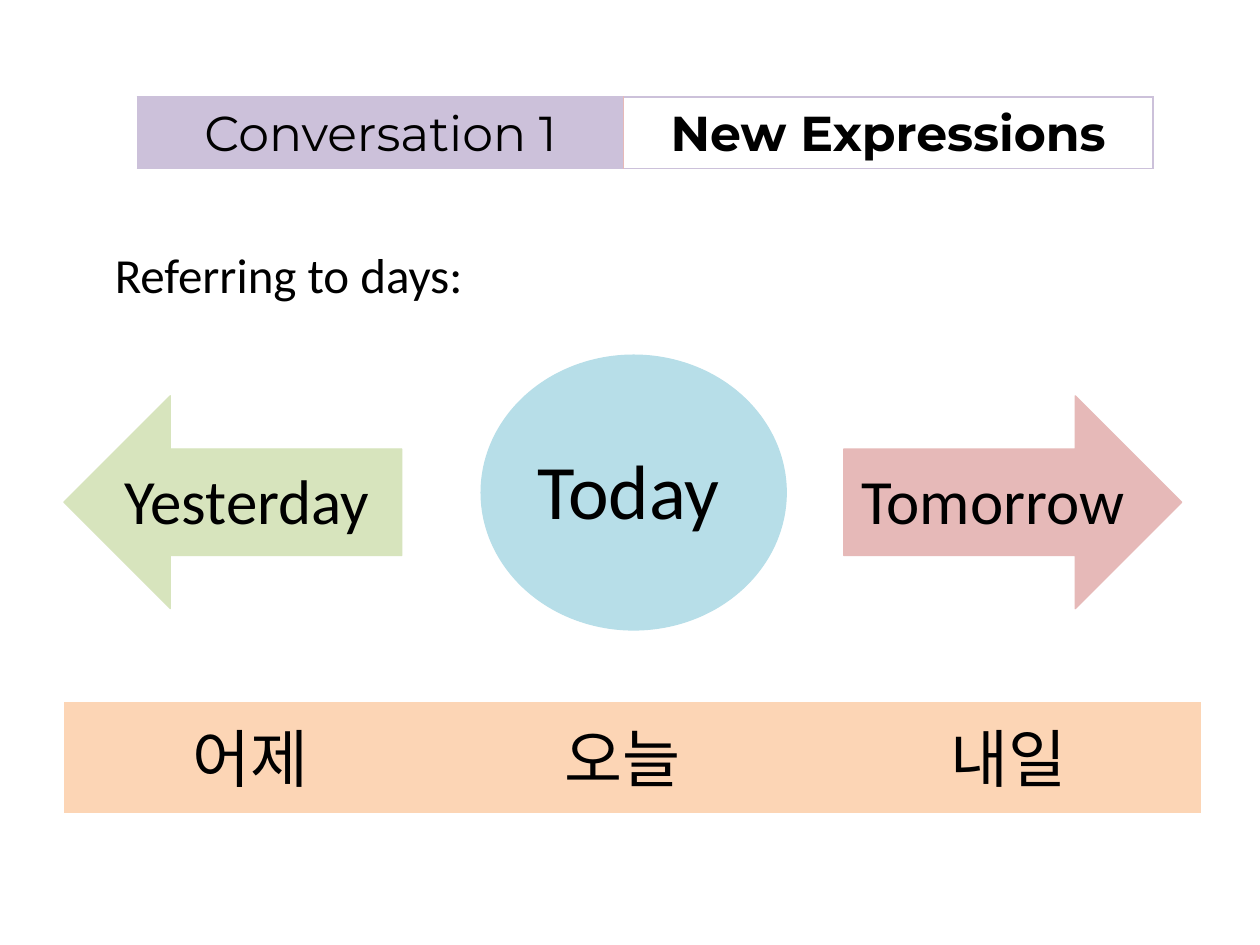
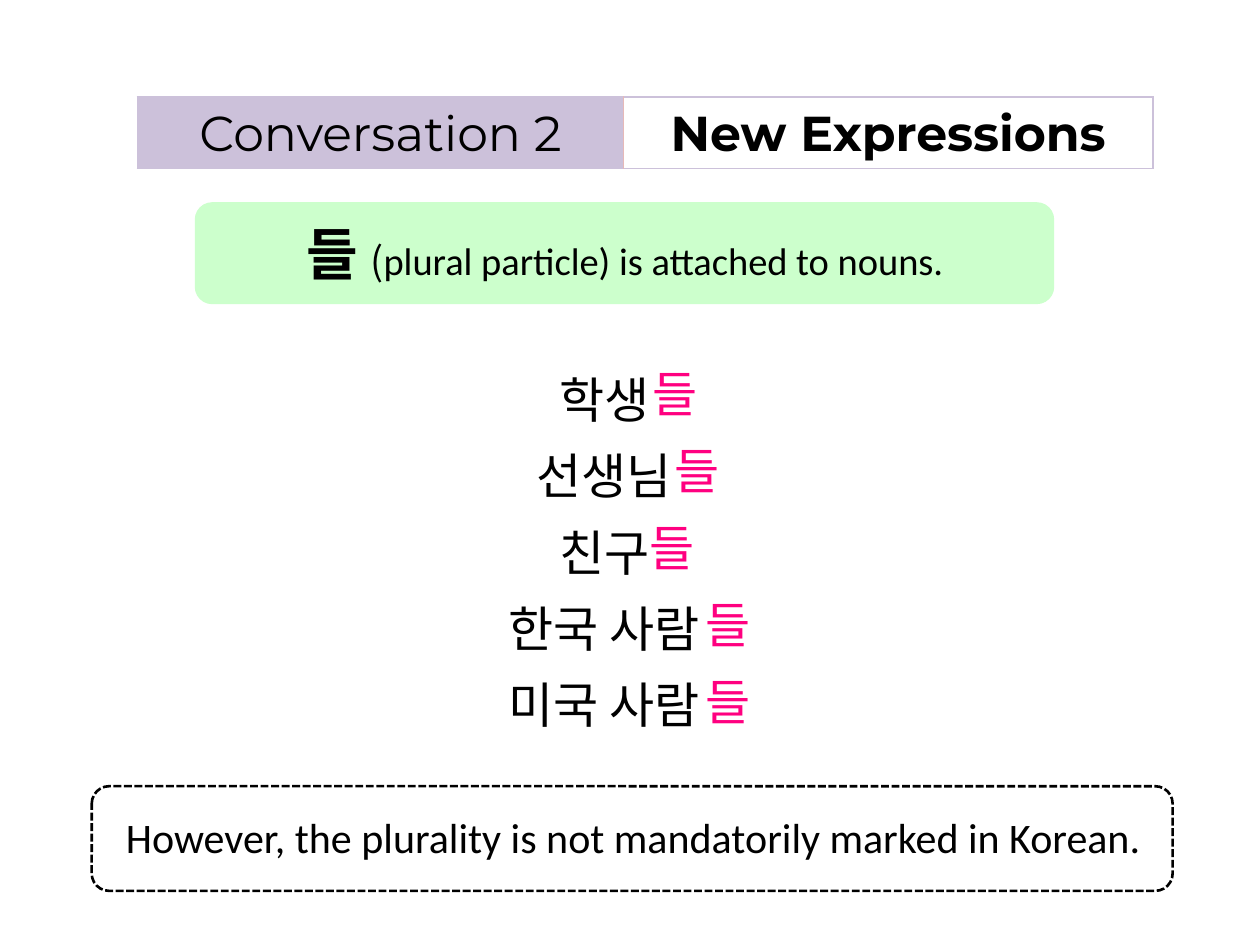
from dataclasses import dataclass, field
from typing import Any, Optional

from lxml.etree import SubElement
from pptx import Presentation
from pptx.dml.color import RGBColor
from pptx.enum.dml import MSO_LINE
from pptx.enum.shapes import MSO_SHAPE
from pptx.enum.text import MSO_ANCHOR, MSO_AUTO_SIZE, PP_ALIGN
from pptx.oxml.ns import qn
from pptx.util import Cm, Pt

# Shared look
LATIN, HEADING, KOREAN = "Calibri", "Montserrat", "Noto Sans CJK KR"
BLACK, LILAC, ROSE, PEACH = "000000", "CCC1DA", "E6B9B8", "FCD5B5"
BLUE, OLIVE, MINT, PINK = "B7DEE8", "D7E4BD", "CCFFCC", "FF0080"
PLAIN_TABLE = "{2D5ABB26-0587-4C30-8999-92F81FD0307C}"
TITLE_AND_CONTENT, TITLE_ONLY = 1, 5


@dataclass
class Box:
    """Position and size in centimetres."""
    left: float
    top: float
    width: float
    height: float

    def lengths(self) -> list:
        return [Cm(v) for v in (self.left, self.top, self.width, self.height)]


@dataclass
class Run:
    text: str
    size: float
    font: str = LATIN
    color: str = BLACK
    bold: bool = False


@dataclass
class Label:
    box: Box
    runs: list[Run]


@dataclass
class Panel:
    kind: MSO_SHAPE
    box: Box
    fill: Optional[str]
    line: str
    line_format: dict = field(default_factory=lambda: {"width": Pt(0.75)})
    rotation: float = 0


def rgb(color: str) -> RGBColor:
    return RGBColor.from_string(color)


def apply(target: Any, values: dict) -> None:
    for name, value in values.items():
        setattr(target, name, value)


def add_run(p: Any, run: Run) -> None:
    r = p.add_run()
    r.text = run.text
    apply(r.font, {"size": Pt(run.size), "name": run.font, "bold": run.bold})
    r.font.color.rgb = rgb(run.color)
    SubElement(r._r.get_or_add_rPr(), qn("a:ea")).set("typeface", run.font)


def place(sp: Any, box: Box) -> Any:
    """Move a text shape, let it grow without wrapping, and return its frame."""
    apply(sp, dict(zip(("left", "top", "width", "height"), box.lengths())))
    apply(sp.text_frame, {"word_wrap": False, "vertical_anchor": MSO_ANCHOR.TOP,
                          "auto_size": MSO_AUTO_SIZE.SHAPE_TO_FIT_TEXT})
    return sp.text_frame


def add_label(s: Any, label: Label, sp: Any = None) -> None:
    """Write a label into the given placeholder, or into a new text box."""
    sp = sp or s.shapes.add_textbox(*label.box.lengths())
    p = place(sp, label.box).paragraphs[0]
    p.alignment = PP_ALIGN.LEFT
    for run in label.runs:
        add_run(p, run)


def add_list(sp: Any, box: Box, words: list[str], size: float) -> None:
    tf = place(sp, box)
    for i, word in enumerate(words):
        p = tf.add_paragraph() if i else tf.paragraphs[0]
        apply(p, {"alignment": PP_ALIGN.CENTER, "line_spacing": 1.3, "space_before": Pt(0)})
        pPr = p._p.get_or_add_pPr()
        for name in ("marL", "indent"):
            pPr.set(name, "0")
        SubElement(pPr, qn("a:buNone"))
        add_run(p, Run(word, size, KOREAN))


def add_panel(s: Any, panel: Panel) -> Any:
    sp = s.shapes.add_shape(panel.kind, *panel.box.lengths())
    sp.shadow.inherit = False
    sp.rotation = panel.rotation
    if panel.fill:
        sp.fill.solid()
        sp.fill.fore_color.rgb = rgb(panel.fill)
    else:
        sp.fill.background()
    sp.line.color.rgb = rgb(panel.line)
    apply(sp.line, panel.line_format)
    return sp


def add_row(s: Any, box: Box, widths: list[float], fills: list[Optional[str]]) -> list:
    """Add a one-row table without style and return its cells."""
    tbl = s.shapes.add_table(1, len(widths), *box.lengths()).table
    apply(tbl, {"first_row": False, "horz_banding": False})
    tbl._tbl.tblPr.find(qn("a:tableStyleId")).text = PLAIN_TABLE
    cells = []
    for i, (width, fill) in enumerate(zip(widths, fills)):
        tbl.columns[i].width = Cm(width)
        cell = tbl.cell(0, i)
        if fill:
            cell.fill.solid()
            cell.fill.fore_color.rgb = rgb(fill)
        else:
            cell.fill.background()
        cells.append(cell)
    return cells


def set_borders(cell: Any, left: str, right: str) -> None:
    tcPr = cell._tc.get_or_add_tcPr()
    sides = {"L": left, "R": right, "T": LILAC, "B": LILAC}
    for i, (side, color) in enumerate(sides.items()):
        ln = SubElement(tcPr, qn(f"a:ln{side}"), w=str(Pt(1)))
        SubElement(SubElement(ln, qn("a:solidFill")), qn("a:srgbClr"), val=color)
        tcPr.insert(i, ln)  # borders come before the cell fill


def add_banner(s: Any, conversation: str) -> None:
    cells = add_row(s, Box(2.77, 1.96, 20.47, 1.4), [9.8, 10.67], [LILAC, None])
    set_borders(cells[0], LILAC, ROSE)
    set_borders(cells[1], ROSE, LILAC)
    for cell, text, bold in zip(cells, (conversation, "New Expressions"), (False, True)):
        p = cell.text_frame.paragraphs[0]
        p.alignment = PP_ALIGN.CENTER
        add_run(p, Run(text, 28, HEADING, bold=bold))


def build_days(prs: Any) -> None:
    s = prs.slides.add_slide(prs.slide_layouts[TITLE_ONLY])
    add_banner(s, "Conversation 1")
    add_label(s, Label(Box(2.06, 4.8, 7.7, 1.45), [Run("Referring to days:", 28)]),
              s.shapes.title)
    add_row(s, Box(1.3, 14.15, 22.92, 2.24), [7.64] * 3, [PEACH] * 3)

    # Day shapes
    arrow = MSO_SHAPE.LEFT_ARROW
    for panel in (
        Panel(MSO_SHAPE.OVAL, Box(9.7, 7.16, 6.15, 5.54), BLUE, BLUE),
        Panel(arrow, Box(1.29, 7.98, 6.81, 4.29), OLIVE, OLIVE),
        Panel(arrow, Box(17.01, 7.98, 6.81, 4.29), ROSE, ROSE, rotation=180),
    ):
        add_panel(s, panel)

    # English names on the shapes, Korean names on the band
    for label in (
        Label(Box(10.59, 8.79, 4.39, 2.13), [Run("Today", 44)]),
        Label(Box(2.26, 9.18, 5.66, 1.8), [Run("Yesterday", 36)]),
        Label(Box(17.12, 9.18, 5.99, 1.8), [Run("Tomorrow", 36)]),
    ):
        add_label(s, label)
    for word, left in {"어제": 3.63, "오늘": 11.13, "내일": 18.92}.items():
        add_label(s, Label(Box(left, 14.38, 2.92, 1.8), [Run(word, 36, KOREAN)]))


def build_plurals(prs: Any) -> None:
    s = prs.slides.add_slide(prs.slide_layouts[TITLE_AND_CONTENT])
    title, body = s.shapes.title, s.placeholders[1]
    add_banner(s, "Conversation 2")

    # Rule on its green panel
    rounded = MSO_SHAPE.ROUNDED_RECTANGLE
    rule = add_panel(s, Panel(rounded, Box(3.94, 4.09, 17.3, 2.03), MINT, MINT))
    rule._element.addnext(title._element)
    add_label(s, Label(Box(5.92, 4.29, 14.2, 1.63), [
        Run("들 ", 32, KOREAN, bold=True),
        Run("(", 22, KOREAN),
        Run("plural particle) is attached to nouns.", 22),
    ]), title)

    # Note in a dashed frame
    add_panel(s, Panel(rounded, Box(1.85, 15.85, 21.79, 2.11), None, BLACK,
                       {"width": Pt(1.5), "dash_style": MSO_LINE.SQUARE_DOT}))
    note = "However, the plurality is not mandatorily marked in Korean."
    add_label(s, Label(Box(2.29, 16.23, 21.36, 1.27), [Run(note, 24)]))

    # Nouns, each followed by the plural particle
    particle_lefts = {"학생": 12.9, "선생님": 13.34, "친구": 12.85,
                      "한국 사람": 13.97, "미국 사람": 13.97}
    add_list(body, Box(9.91, 6.96, 4.55, 7.98), list(particle_lefts), 28)
    for i, left in enumerate(particle_lefts.values()):
        add_label(s, Label(Box(left, 7.21 + 1.55 * i, 1.45, 1.45),
                           [Run("들", 28, KOREAN, PINK)]))


def main() -> None:
    prs = Presentation()
    apply(prs, {"slide_width": Cm(25.4), "slide_height": Cm(19.05)})
    build_days(prs)
    build_plurals(prs)
    prs.save("out.pptx")


if __name__ == "__main__":
    main()
